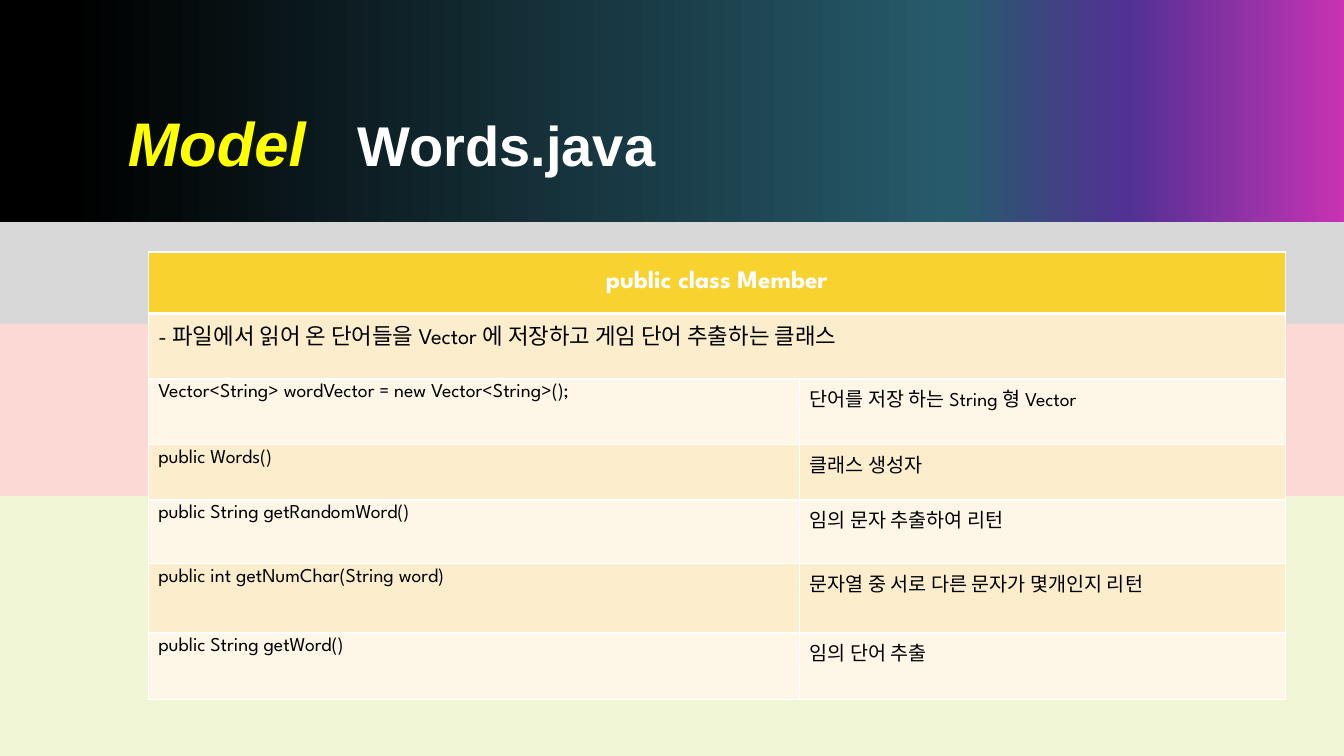
from lxml.etree import SubElement
from pptx import Presentation
from pptx.dml.color import RGBColor
from pptx.enum.shapes import MSO_SHAPE
from pptx.enum.text import MSO_ANCHOR, PP_ALIGN
from pptx.oxml import parse_xml
from pptx.oxml.ns import nsdecls, qn
from pptx.util import Inches, Pt

COLORS = {
    "gray": "BFBFBF", "pink": "FCD9D5", "green": "F1F6D6",
    "magenta": "C832B3", "purple": "523195", "teal": "275B6B", "black": "000000",
    "yellow": "FFFF00", "white": "FFFFFF",
    "header": "F8D22F", "dark_row": "FCEECD", "light_row": "FEF7E8",
}
BANNER_STOPS = [(0, "magenta"), (16, "purple"), (29, "teal"), (95, "black")]
COLUMN_WIDTHS = [6.46, 4.82]
ROW_HEIGHTS = [0.61, 0.65, 0.65, 0.55, 0.63, 0.69, 0.66]
MEMBER_ROWS = [
    ["public class Member"],
    ["- 파일에서 읽어 온 단어들을 Vector 에 저장하고 게임 단어 추출하는 클래스"],
    ["Vector<String> wordVector = new Vector<String>();", "단어를 저장 하는 String 형 Vector"],
    ["public Words()", "클래스 생성자"],
    ["public String getRandomWord()", "임의 문자 추출하여 리턴"],
    ["public int getNumChar(String word)", "문자열 중 서로 다른 문자가 몇개인지 리턴"],
    ["public String getWord()", "임의 단어 추출"],
]


def rgb(name):
    return RGBColor.from_string(COLORS[name])


class SlideBuilder:
    title_font = "Arial"
    table_font = "League Spartan"

    def __init__(self, slide):
        self.slide = slide

    def band(self, left, top, width, height, color=None, alpha=None, stops=None):
        shape = self.slide.shapes.add_shape(
            MSO_SHAPE.RECTANGLE, Inches(left), Inches(top), Inches(width), Inches(height))
        shape.shadow.inherit = False
        shape.line.fill.background()
        if stops:
            self.gradient(shape, stops)
            return
        shape.fill.solid()
        shape.fill.fore_color.rgb = rgb(color)
        if alpha:
            fill_color = shape._element.spPr.find(qn("a:solidFill"))[0]
            SubElement(fill_color, qn("a:alpha"), val=str(alpha * 1000))

    def gradient(self, shape, stops):
        shape.fill.gradient()
        shape.fill.gradient_angle = 180
        stop_list = shape._element.spPr.find(qn("a:gradFill")).find(qn("a:gsLst"))
        for stop in list(stop_list):
            stop_list.remove(stop)
        for position, color in stops:
            stop = SubElement(stop_list, qn("a:gs"), pos=str(position * 1000))
            SubElement(stop, qn("a:srgbClr"), val=COLORS[color])

    def title(self, left, top, width, height, parts, tab):
        box = self.slide.shapes.add_textbox(
            Inches(left), Inches(top), Inches(width), Inches(height))
        frame = box.text_frame
        frame.word_wrap = True
        frame.vertical_anchor = MSO_ANCHOR.MIDDLE
        paragraph = frame.paragraphs[0]
        paragraph.line_spacing = 0.9
        tab_list = SubElement(paragraph._p.get_or_add_pPr(), qn("a:tabLst"))
        SubElement(tab_list, qn("a:tab"), pos=str(Inches(tab)), algn="l")
        paragraph.font.name = self.title_font
        paragraph.font.bold = True
        for text, size, color, italic in parts:
            run = paragraph.add_run()
            run.text = text
            run.font.name = self.title_font
            run.font.bold = True
            run.font.size = Pt(size)
            run.font.italic = italic
            run.font.color.rgb = rgb(color)

    def borders(self, cell, row):
        widths = {"L": 1, "R": 1, "T": 3 if row == 1 else 1, "B": 3 if row == 0 else 1}
        properties = cell._tc.get_or_add_tcPr()
        for index, (side, width) in enumerate(widths.items()):
            properties.insert(index, parse_xml(
                f'<a:ln{side} {nsdecls("a")} w="{Pt(width)}"><a:solidFill>'
                f'<a:srgbClr val="{COLORS["white"]}"/></a:solidFill></a:ln{side}>'))

    def cell_text(self, cell, text, row):
        cell.text = text
        paragraph = cell.text_frame.paragraphs[0]
        font = paragraph.font
        font.name = self.table_font
        font.size = Pt({0: 18, 1: 16}.get(row, 14))
        font.bold = row == 0
        font.color.rgb = rgb("black" if row else "white")
        if row == 0:
            paragraph.alignment = PP_ALIGN.CENTER
            cell.vertical_anchor = MSO_ANCHOR.MIDDLE

    def table(self, left, top, column_widths, row_heights, rows):
        table = self.slide.shapes.add_table(
            len(rows), len(column_widths), Inches(left), Inches(top),
            Inches(sum(column_widths)), Inches(sum(row_heights))).table
        table.first_row = table.horz_banding = False
        for column, width in zip(table.columns, column_widths):
            column.width = Inches(width)
        for row, (height, texts) in enumerate(zip(row_heights, rows)):
            table.rows[row].height = Inches(height)
            row_color = "header" if row == 0 else "dark_row" if row % 2 else "light_row"
            for column in range(len(column_widths)):
                cell = table.cell(row, column)
                cell.fill.solid()
                cell.fill.fore_color.rgb = rgb(row_color)
                self.borders(cell, row)
                if column < len(texts):
                    self.cell_text(cell, texts[column], row)
            if len(texts) == 1:
                table.cell(row, 0).merge(table.cell(row, len(column_widths) - 1))


def main():
    presentation = Presentation()
    presentation.slide_width = Inches(13.33)
    presentation.slide_height = Inches(7.5)
    builder = SlideBuilder(presentation.slides.add_slide(presentation.slide_layouts[6]))
    builder.band(0, 0.12, 13.33, 7.41, "gray", alpha=60)
    builder.band(0, -0.03, 13.34, 2.23, stops=BANNER_STOPS)
    builder.band(0, 3.21, 13.33, 1.71, "pink")
    builder.band(0, 4.92, 13.33, 2.58, "green")
    builder.title(1.17, 0.7, 11, 1.5, [
        ("Model\t", 44, "yellow", True),
        ("Words.java", 40, "white", False),
    ], tab=2.28)
    builder.table(1.47, 2.5, COLUMN_WIDTHS, ROW_HEIGHTS, MEMBER_ROWS)
    presentation.save("out.pptx")


if __name__ == "__main__":
    main()
